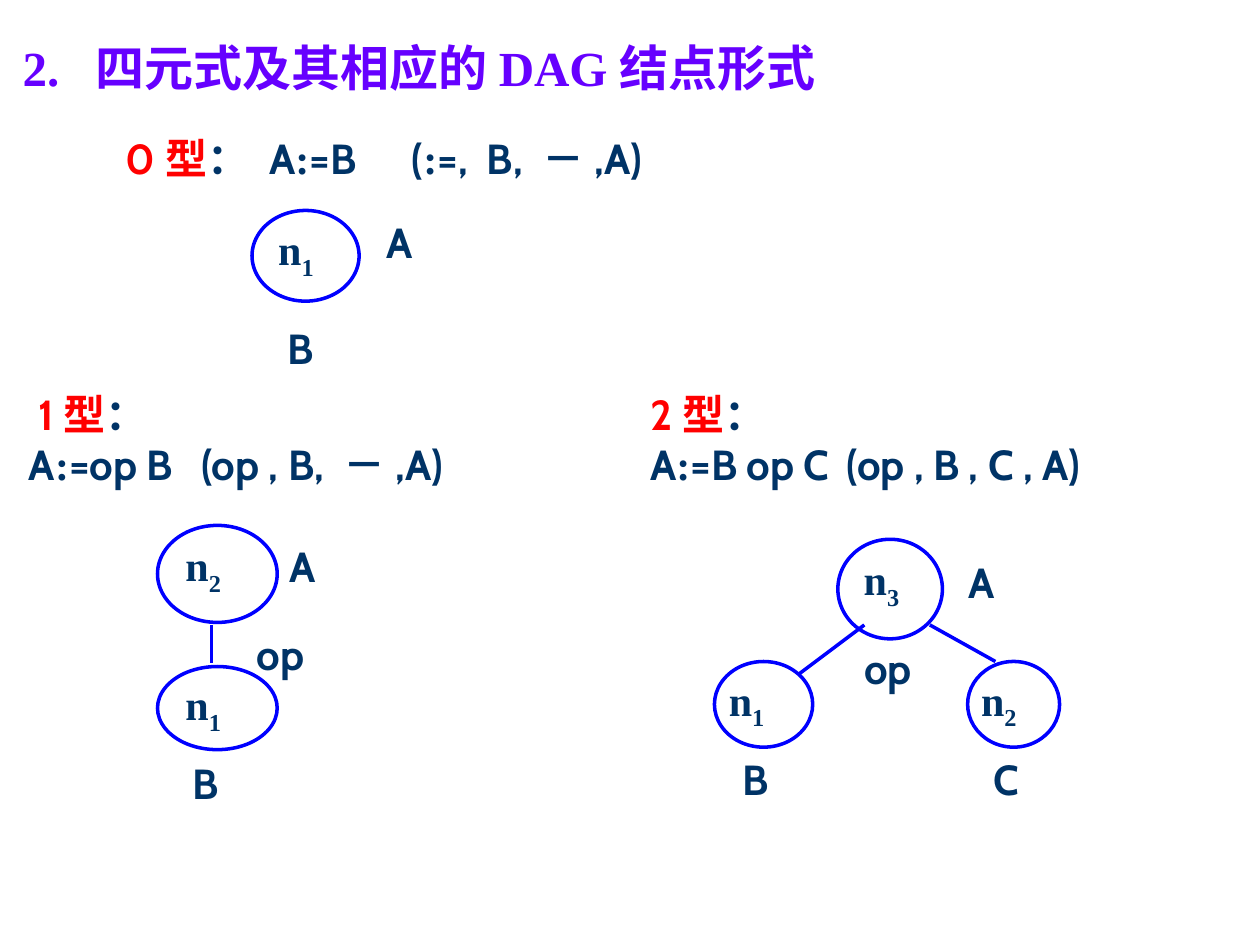
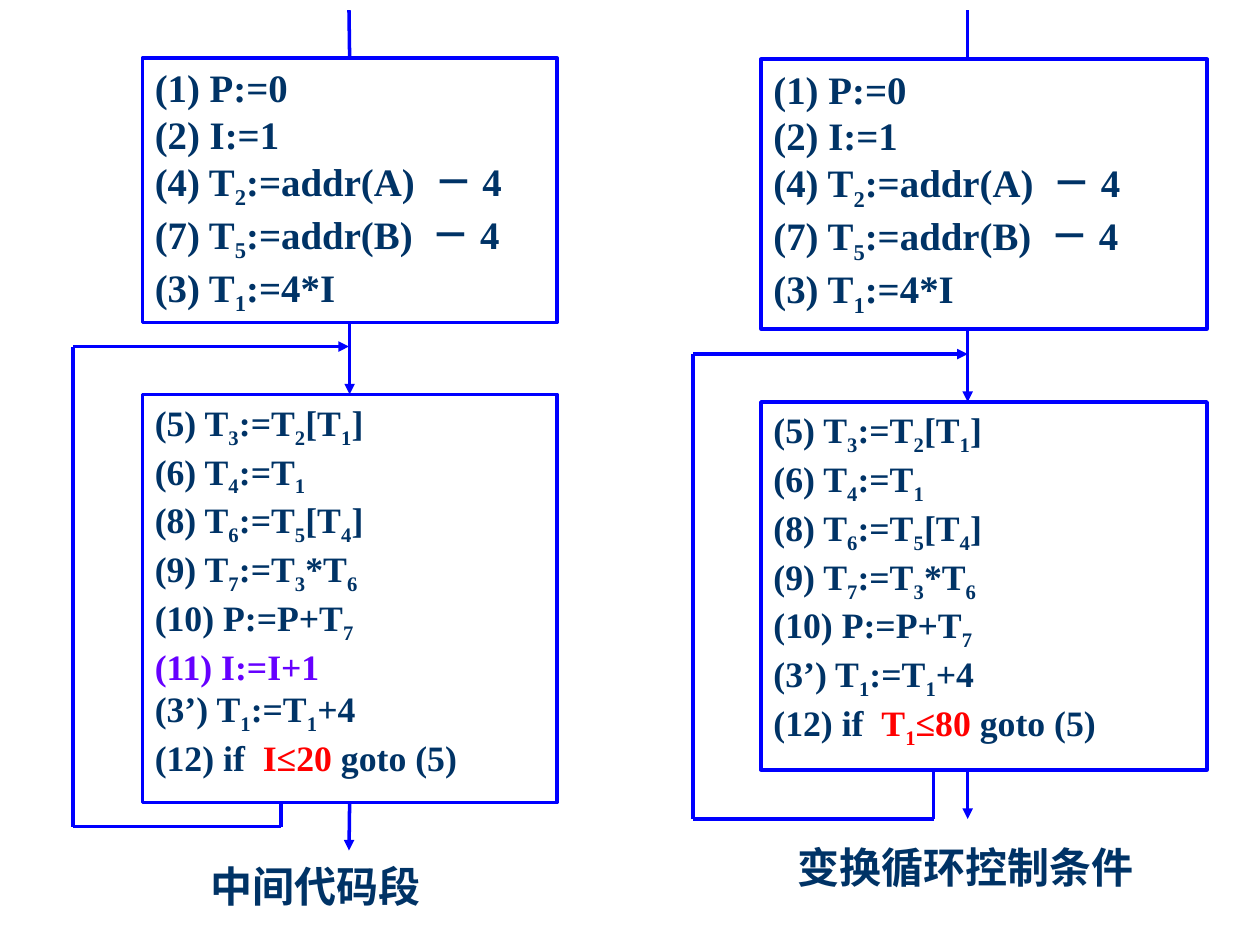
from dataclasses import dataclass
from itertools import groupby

import pptx
import pptx.dml.color
import pptx.enum.shapes
import pptx.enum.text
import pptx.oxml.ns
import pptx.util
from lxml import etree
from pptx.util import Inches

NAVY, BLUE, RED, VIOLET, WHITE = "003366", "0000FF", "FF0000", "6600FF", "FFFFFF"
SERIF, SANS = "Times New Roman", "Cabin"
SERIF_IN_SANS = "型：:－"
SHAPE = pptx.enum.shapes.MSO_SHAPE
TOP, BOTTOM = 0, 2
qn = pptx.oxml.ns.qn


@dataclass
class Node:
    name: str
    x: float
    y: float
    w: float
    h: float


@dataclass
class Label:
    text: str
    x: float
    y: float
    w: float


@dataclass
class Heading:
    """Type name and its formula; tab is where the quadruple starts."""
    lines: list
    x: float
    y: float
    w: float
    h: float
    tab: float
    margins: tuple = (0, 0)


@dataclass
class Flow:
    """Two code blocks with a loop back from the lower one to its entry."""
    x: float
    w: float
    axis: float
    head_y: float
    head_h: float
    body_y: float
    body_h: float
    exit_y: float
    loop_x: float
    loop_start: float
    loop_bottom: float
    loop_top: float
    body: list
    caption: Label


def rgb(value: str):
    return pptx.dml.color.RGBColor.from_string(value)


def add_run(p, text: str, size: float, font: str, color: str, sub: bool = False) -> None:
    r = p.add_run()
    r.text = text
    r.font.size = pptx.util.Pt(size)
    r.font.name = font
    r.font.bold = True
    r.font.color.rgb = rgb(color)
    if sub:
        r._r.get_or_add_rPr().set("baseline", "-25000")


def split_subscripts(text: str):
    """Yield (text, is_subscript); an underscore lowers the next character."""
    first, *rest = text.split("_")
    if first:
        yield first, False
    for piece in rest:
        yield piece[0], True
        if piece[1:]:
            yield piece[1:], False


def write(tf, lines: list, *, size: float = 24, font: str = SERIF, color: str = NAVY,
          margins: tuple = (0.1, 0.05), tab: float = 0) -> None:
    """Fill a frame; a line is a string or a list of strings and (string, colour) pairs."""
    tf.word_wrap = True
    tf.vertical_anchor = pptx.enum.text.MSO_ANCHOR.TOP
    tf.margin_left = tf.margin_right = Inches(margins[0])
    tf.margin_top = tf.margin_bottom = Inches(margins[1])
    for i, line in enumerate(lines):
        p = tf.add_paragraph() if i else tf.paragraphs[0]
        p.alignment = pptx.enum.text.PP_ALIGN.LEFT
        if tab:
            stops = etree.SubElement(p._p.get_or_add_pPr(), qn("a:tabLst"))
            etree.SubElement(stops, qn("a:tab"), pos=str(Inches(tab)), algn="l")
        for part in [line] if isinstance(line, str) else line:
            text, part_color = (part, color) if isinstance(part, str) else part
            for piece, sub in split_subscripts(text):
                for serif, chars in groupby(piece, lambda c: c in SERIF_IN_SANS):
                    add_run(p, "".join(chars), size, SERIF if serif else font,
                            part_color, sub)


def add_text(s, lines: list, x: float, y: float, w: float, h: float, **fmt) -> None:
    box = s.shapes.add_textbox(Inches(x), Inches(y), Inches(w), Inches(h))
    write(box.text_frame, lines, **fmt)


def add_label(s, label: Label) -> None:
    add_text(s, [label.text], label.x, label.y, label.w, 0.5, font=SANS)


def add_outlined(s, kind, lines: list, x: float, y: float, w: float, h: float, **fmt):
    sp = s.shapes.add_shape(kind, Inches(x), Inches(y), Inches(w), Inches(h))
    sp.shadow.inherit = False
    sp.fill.solid()
    sp.fill.fore_color.rgb = rgb(WHITE)
    sp.line.color.rgb = rgb(BLUE)
    sp.line.width = pptx.util.Pt(2)
    write(sp.text_frame, lines, **fmt)
    return sp


def add_line(s, start: tuple, end: tuple, arrow: bool = False, begin=None, finish=None) -> None:
    """Draw a line; begin and finish are shapes left at the bottom and entered at the top."""
    line = s.shapes.add_connector(pptx.enum.shapes.MSO_CONNECTOR.STRAIGHT,
                                  *map(Inches, start + end))
    if begin is not None:
        line.begin_connect(begin, BOTTOM)
    if finish is not None:
        line.end_connect(finish, TOP)
    line.line.color.rgb = rgb(BLUE)
    line.line.width = pptx.util.Pt(2)
    if arrow:
        etree.SubElement(line.line._get_or_add_ln(), qn("a:tailEnd"), type="triangle")
    etree.SubElement(line._element.spPr, qn("a:effectLst"))


def add_flow(s, flow: Flow) -> None:
    head = add_outlined(s, SHAPE.RECTANGLE, HEAD_CODE, flow.x, flow.head_y,
                        flow.w, flow.head_h, size=22.2)
    body = add_outlined(s, SHAPE.RECTANGLE, flow.body, flow.x, flow.body_y,
                        flow.w, flow.body_h, size=20.4)
    centred = abs(flow.x + flow.w / 2 - flow.axis) < 0.02
    from_head, into_head = (head, head) if centred else (None, None)
    from_body, into_body = (body, body) if centred else (None, None)
    body_end = flow.body_y + flow.body_h
    add_line(s, (flow.axis, 0.08), (flow.axis, flow.head_y), finish=into_head)
    add_line(s, (flow.axis, flow.head_y + flow.head_h), (flow.axis, flow.body_y),
             arrow=True, begin=from_head, finish=into_body)
    add_line(s, (flow.axis, body_end), (flow.axis, flow.exit_y), arrow=True, begin=from_body)
    loop = [(flow.loop_start, body_end), (flow.loop_start, flow.loop_bottom),
            (flow.loop_x, flow.loop_bottom), (flow.loop_x, flow.loop_top),
            (flow.axis, flow.loop_top)]
    for start, end in zip(loop, loop[1:]):
        add_line(s, start, end, arrow=end == loop[-1])
    cap = flow.caption
    add_text(s, [cap.text], cap.x, cap.y, cap.w, 0.4, margins=(0, 0))


HEADINGS = [
    Heading([[("0型", RED), "： A:=B\t(:=,  B, －,A)"]], 0.9, 1, 5, 0.5, 2.27, (0.1, 0.05)),
    Heading([[" ", ("1型", RED), "："], "A:=op B\t(op , B, －,A)"], 0.23, 3.08, 4, 0.8, 1.37),
    Heading([[("2型", RED), "："], "A:=B op C\t(op , B , C , A)"], 5.16, 3.08, 4.2, 0.8, 1.56),
]
NODES = [
    Node(" n_1", 2, 1.67, 0.85, 0.72),
    Node(" n_2", 1.25, 4.17, 0.95, 0.77),
    Node(" n_1", 1.25, 5.29, 0.95, 0.66),
    Node(" n_3", 6.65, 4.28, 0.83, 0.79),
    Node("n_1", 5.67, 5.25, 0.78, 0.68),
    Node("n_2", 7.68, 5.25, 0.73, 0.68),
]
EDGES = [
    ((1.68, 4.96), (1.68, 5.26)),
    ((6.86, 4.96), (6.34, 5.35)),
    ((7.38, 4.96), (7.9, 5.25)),
]
LABELS = [
    Label("A", 2.97, 1.67, 0.54), Label(" B", 2.11, 2.51, 0.64),
    Label("A", 2.2, 4.24, 0.55), Label("op", 1.94, 4.94, 1.06),
    Label("B", 1.43, 5.96, 0.61),
    Label("A", 7.59, 4.37, 0.52), Label("op", 6.76, 5.05, 0.73),
    Label(" B", 5.72, 5.93, 0.59), Label("C", 7.79, 5.93, 0.53),
]

HEAD_CODE = ["(1) P:=0", "(2) I:=1", "(4) T_2:=addr(A) －4", "(7) T_5:=addr(B) －4",
             "(3) T_1:=4*I"]
LOOP_CODE = ["(5) T_3:=T_2[T_1]", "(6) T_4:=T_1", "(8) T_6:=T_5[T_4]", "(9) T_7:=T_3*T_6",
             "(10) P:=P+T_7"]
INCREMENT = [("(11) I:=I+1", VIOLET)]
STEP = "(3’) T_1:=T_1+4"


def loop_test(condition: str) -> list:
    return ["(12) if  ", (condition, RED), " goto (5)"]


FLOWS = [
    Flow(x=1.13, w=3.29, axis=2.77, head_y=0.46, head_h=2.1, body_y=3.13, body_h=3.24,
         exit_y=6.75, loop_x=0.58, loop_start=2.23, loop_bottom=6.56, loop_top=2.75,
         body=[*LOOP_CODE, INCREMENT, STEP, loop_test("I≤20")],
         caption=Label("中间代码段", 1.67, 6.83, 1.83)),
    Flow(x=6.04, w=3.54, axis=7.68, head_y=0.47, head_h=2.14, body_y=3.19, body_h=2.92,
         exit_y=6.5, loop_x=5.5, loop_start=7.41, loop_bottom=6.5, loop_top=2.81,
         body=[*LOOP_CODE, STEP, loop_test("T_1≤80")],
         caption=Label("变换循环控制条件", 6.33, 6.68, 2.92)),
]


def add_node_forms_slide(prs) -> None:
    s = prs.slides.add_slide(prs.slide_layouts[5])
    title = s.shapes.title
    title.left, title.top, title.width, title.height = map(Inches, (0.08, 0.25, 8.5, 0.67))
    write(title.text_frame, ["2.  四元式及其相应的DAG结点形式"], size=28, color=VIOLET)
    for hd in HEADINGS:
        add_text(s, hd.lines, hd.x, hd.y, hd.w, hd.h, font=SANS, tab=hd.tab,
                 margins=hd.margins)
    for node in NODES:
        add_outlined(s, SHAPE.OVAL, [node.name], node.x, node.y, node.w, node.h,
                     margins=(0, 0))
    for start, end in EDGES:
        add_line(s, start, end)
    for label in LABELS:
        add_label(s, label)


def add_loop_slide(prs) -> None:
    s = prs.slides.add_slide(prs.slide_layouts[6])
    for flow in FLOWS:
        add_flow(s, flow)


def main() -> None:
    prs = pptx.Presentation()
    prs.slide_width, prs.slide_height = Inches(10), Inches(7.5)
    add_node_forms_slide(prs)
    add_loop_slide(prs)
    prs.save("out.pptx")


if __name__ == "__main__":
    main()
